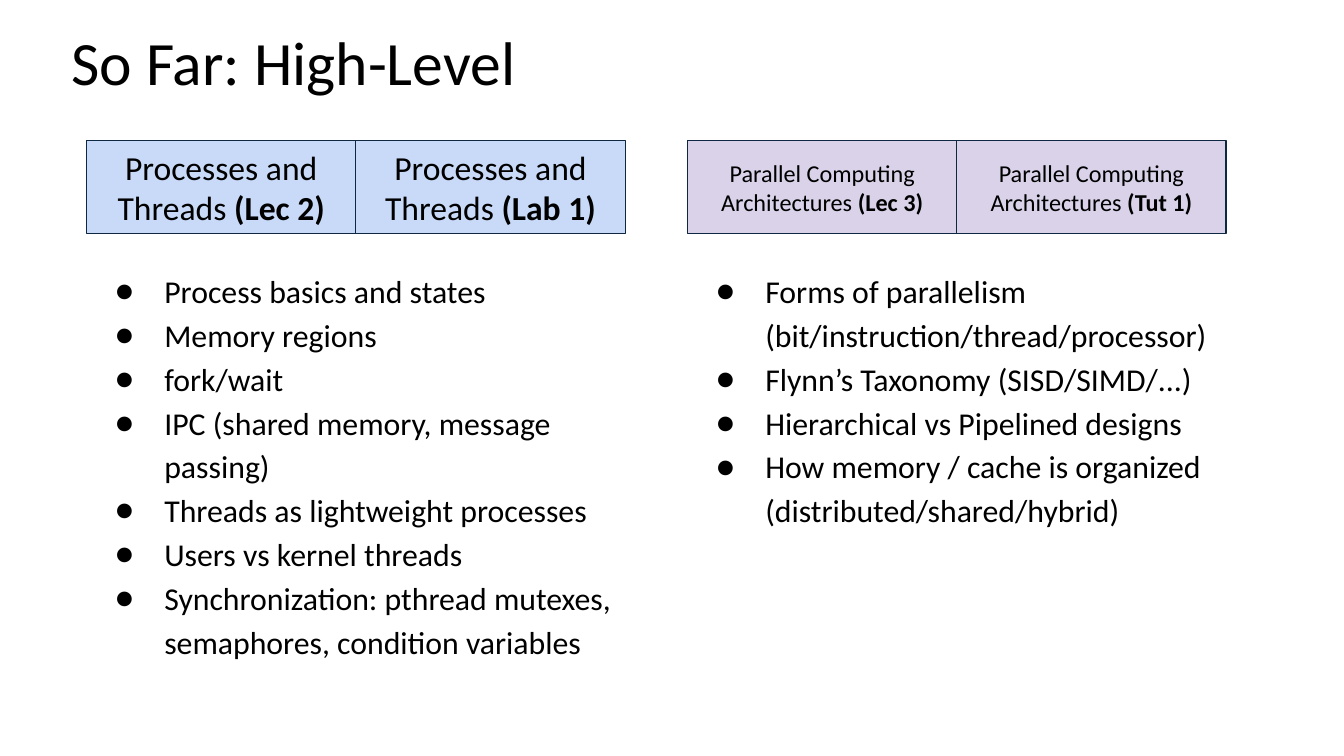
from lxml import etree
from pptx import Presentation
from pptx.dml.color import RGBColor
from pptx.enum.shapes import MSO_SHAPE
from pptx.enum.text import MSO_ANCHOR, MSO_AUTO_SIZE, PP_ALIGN
from pptx.oxml.ns import qn
from pptx.util import Inches, Pt

RECTANGLE = MSO_SHAPE.RECTANGLE
TOP, MIDDLE = MSO_ANCHOR.TOP, MSO_ANCHOR.MIDDLE
NO_AUTOFIT = MSO_AUTO_SIZE.NONE
LEFT, CENTER = PP_ALIGN.LEFT, PP_ALIGN.CENTER

TWO_CONTENT_LAYOUT = 3
FONT = "Calibri"
BLACK, NAVY, BLUE, PURPLE = "000000", "0E2841", "C9DAF8", "D9D2E9"
CARD_TOP, CARD_WIDTH, CARD_HEIGHT = 1.39, 2.67, 0.93
LIST_TOP, LIST_HEIGHT = 2.51, 4.76

TOPICS = [
    {
        "name": "Processes and Threads",
        "sessions": ["Lec 2", "Lab 1"],
        "card_left": 0.86, "card_color": BLUE, "card_size": 24,
        "list_left": 0.83, "list_width": 5.55,
        "points": [
            "Process basics and states",
            "Memory regions",
            "fork/wait",
            "IPC (shared memory, message passing)",
            "Threads as lightweight processes",
            "Users vs kernel threads",
            "Synchronization: pthread mutexes, semaphores, condition variables",
        ],
    },
    {
        "name": "Parallel Computing Architectures",
        "sessions": ["Lec 3", "Tut 1"],
        "card_left": 6.82, "card_color": PURPLE, "card_size": 17.3,
        "list_left": 6.79, "list_width": 5.72,
        "points": [
            "Forms of parallelism (bit/instruction/thread/processor)",
            "Flynn’s Taxonomy (SISD/SIMD/...)",
            "Hierarchical vs Pipelined designs",
            "How memory / cache is organized (distributed/shared/hybrid)",
        ],
    },
]


def color(hex_string):
    return RGBColor.from_string(hex_string)


def place(shape, left, top, width, height):
    shape.left, shape.top = Inches(left), Inches(top)
    shape.width, shape.height = Inches(width), Inches(height)


def prepare_text(shape, anchor):
    frame = shape.text_frame
    frame.word_wrap = True
    frame.auto_size = NO_AUTOFIT
    frame.vertical_anchor = anchor
    frame.margin_left = frame.margin_right = Inches(0.13)
    frame.margin_top = frame.margin_bottom = Inches(0.13)
    return frame


def add_run(paragraph, text, size, bold=False):
    run = paragraph.add_run()
    run.text = text
    run.font.name = FONT
    run.font.size = Pt(size)
    run.font.bold = bold
    run.font.color.rgb = color(BLACK)


def add_bullet(paragraph):
    properties = paragraph._p.get_or_add_pPr()
    properties.set("marL", str(Inches(0.67)))
    properties.set("indent", str(Inches(-0.49)))
    etree.SubElement(properties, qn("a:buFont"), typeface=FONT)
    etree.SubElement(properties, qn("a:buChar"), char="●")


def fill_title(title, text):
    place(title, 0.58, 0.19, 10.96, 0.93)
    paragraph = prepare_text(title, TOP).paragraphs[0]
    paragraph.alignment = LEFT
    paragraph.line_spacing = 0.9
    add_run(paragraph, text, 44)


def fill_list(body, points):
    frame = prepare_text(body, TOP)
    for index, point in enumerate(points):
        paragraph = frame.add_paragraph() if index else frame.paragraphs[0]
        paragraph.line_spacing = 1.15
        paragraph.space_before = Pt(0)
        add_bullet(paragraph)
        add_run(paragraph, point, 22.7)


def add_card(slide, left, topic, session):
    card = slide.shapes.add_shape(
        RECTANGLE, Inches(left), Inches(CARD_TOP),
        Inches(CARD_WIDTH), Inches(CARD_HEIGHT))
    card.shadow.inherit = False
    card.fill.solid()
    card.fill.fore_color.rgb = color(topic["card_color"])
    card.line.color.rgb = color(NAVY)
    card.line.width = Pt(0.75)
    paragraph = prepare_text(card, MIDDLE).paragraphs[0]
    paragraph.alignment = CENTER
    add_run(paragraph, topic["name"], topic["card_size"])
    add_run(paragraph, f" ({session})", topic["card_size"], bold=True)


def main():
    presentation = Presentation()
    presentation.slide_width = Inches(13.33)
    presentation.slide_height = Inches(7.5)
    layout = presentation.slide_layouts[TWO_CONTENT_LAYOUT]
    slide = presentation.slides.add_slide(layout)

    fill_title(slide.shapes.title, "So Far: High-Level")
    for number, topic in enumerate(TOPICS, start=1):
        body = slide.placeholders[number]
        place(body, topic["list_left"], LIST_TOP, topic["list_width"], LIST_HEIGHT)
        fill_list(body, topic["points"])
        for column, session in enumerate(topic["sessions"]):
            add_card(slide, topic["card_left"] + column * CARD_WIDTH, topic, session)

    presentation.save("out.pptx")


if __name__ == "__main__":
    main()
